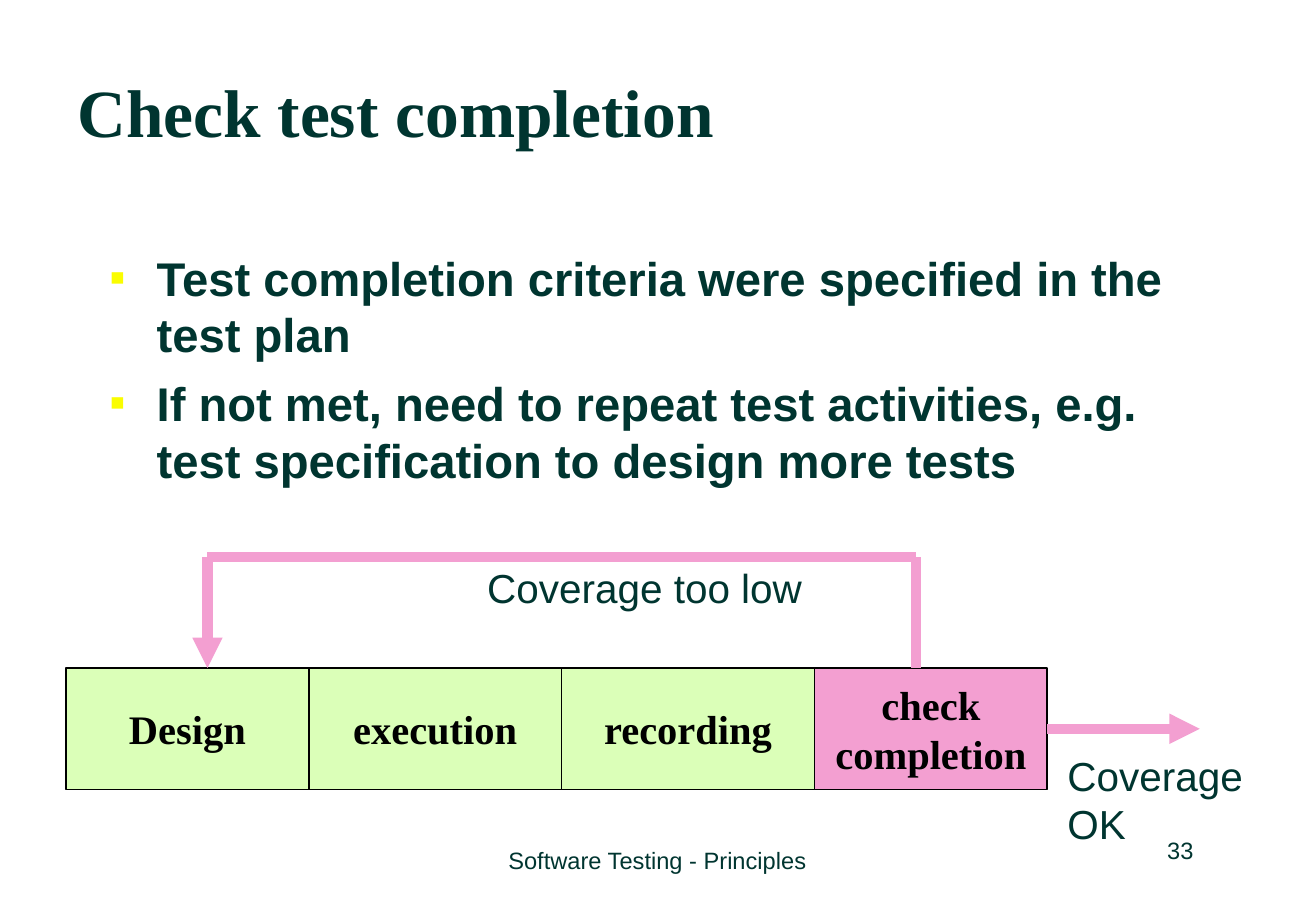
from lxml.etree import SubElement
from pptx import Presentation
from pptx.dml.color import RGBColor
from pptx.enum.shapes import MSO_CONNECTOR as Connector, MSO_SHAPE as Shape
from pptx.enum.text import MSO_ANCHOR as Anchor, PP_ALIGN as Align
from pptx.oxml.ns import qn
from pptx.util import Cm, Pt

COLOURS = {
    "ink": "003530",
    "black": "000000",
    "green": "DBFFB8",
    "pink": "F39FD1",
    "bullet": "FAFD00",
}
SANS = "Arial"
SERIF = "Times New Roman"
STEP_TOP, STEP_HEIGHT = 13.97, 2.54
STEPS_LEFT = 1.38
STEPS = [
    (["Design"], 5.08, "green"),
    (["execution"], 5.29, "green"),
    (["recording"], 5.29, "green"),
    (["check", "completion"], 4.87, "pink"),
]
LOOP_TOP, LOOP_START, LOOP_END = 11.64, 19.16, 4.34


def colour(name):
    return RGBColor.from_string(COLOURS[name])


def write_lines(frame, lines, size, font=SANS, ink="ink", bold=False, align=Align.LEFT):
    for index, line in enumerate(lines):
        para = frame.paragraphs[0] if index == 0 else frame.add_paragraph()
        para.alignment = align
        span = para.add_run()
        span.text = line
        span.font.name = font
        span.font.size = Pt(size)
        span.font.bold = bold
        span.font.color.rgb = colour(ink)


def add_text(page, place, lines, size, wrap=False, anchor=Anchor.TOP, **style):
    box = page.shapes.add_textbox(*map(Cm, place))
    frame = box.text_frame
    frame.word_wrap = wrap
    frame.vertical_anchor = anchor
    write_lines(frame, lines, size, **style)
    return frame


def add_bullet(para):
    """Give the paragraph a hanging square at half the text size."""
    properties = para._p.get_or_add_pPr()
    properties.set("marL", str(Cm(0.97)))
    properties.set("indent", str(Cm(-0.97)))
    tint = SubElement(properties, qn("a:buClr"))
    SubElement(tint, qn("a:srgbClr"), val=COLOURS["bullet"])
    SubElement(properties, qn("a:buSzPct"), val="50000")
    SubElement(properties, qn("a:buFont"), typeface=SANS)
    SubElement(properties, qn("a:buChar"), char="■")


def add_bullet_list(page, place, lines):
    frame = add_text(page, place, lines, 28, wrap=True, bold=True)
    for index, para in enumerate(frame.paragraphs):
        if index:
            para.space_before = Pt(7)
        add_bullet(para)


def add_step(page, left, width, lines, fill):
    box = page.shapes.add_shape(
        Shape.RECTANGLE, Cm(left), Cm(STEP_TOP), Cm(width), Cm(STEP_HEIGHT)
    )
    box.shadow.inherit = False
    box.fill.solid()
    box.fill.fore_color.rgb = colour(fill)
    box.line.color.rgb = colour("black")
    box.line.width = Pt(1)
    box.text_frame.word_wrap = False
    box.text_frame.vertical_anchor = Anchor.MIDDLE
    write_lines(box.text_frame, lines, 24, SERIF, "black", True, Align.CENTER)


def add_flow_line(page, start, end, arrow=False):
    line = page.shapes.add_connector(Connector.STRAIGHT, *map(Cm, start + end))
    line.line.color.rgb = colour("pink")
    line.line.width = Pt(6)
    if arrow:
        SubElement(line.line._get_or_add_ln(), qn("a:tailEnd"), type="triangle")
    SubElement(line._element.spPr, qn("a:effectLst"))


def add_process(page):
    left = STEPS_LEFT
    for lines, width, fill in STEPS:
        add_step(page, left, width, lines, fill)
        left += width

    corners = [
        (LOOP_START, STEP_TOP),
        (LOOP_START, LOOP_TOP),
        (LOOP_END, LOOP_TOP),
        (LOOP_END, STEP_TOP),
    ]
    for start, end in zip(corners, corners[1:]):
        add_flow_line(page, start, end, arrow=end == corners[-1])
    add_text(page, (9.94, 11.64, 7.5, 1.27), ["Coverage too low"], 24)

    middle = STEP_TOP + STEP_HEIGHT / 2
    add_flow_line(page, (left, middle), (25.1, middle), arrow=True)
    add_text(page, (22.08, 15.57, 5.2, 2.29), ["Coverage", "OK"], 24)


def main():
    deck = Presentation()
    deck.slide_width, deck.slide_height = Cm(27.53), Cm(19.05)
    page = deck.slides.add_slide(deck.slide_layouts[6])

    add_text(page, (9.4, 17.35, 8.71, 1.27), ["Software Testing - Principles"], 14,
             anchor=Anchor.MIDDLE, align=Align.CENTER)
    add_text(page, (19.48, 17.15, 5.74, 1.27), ["33"], 14,
             anchor=Anchor.MIDDLE, align=Align.RIGHT)
    add_text(page, (1.37, 1.47, 23.39, 1.7), ["Check test completion"], 40,
             wrap=True, anchor=Anchor.MIDDLE, font=SERIF, bold=True)
    add_bullet_list(page, (2.06, 5.08, 23.39, 11.86), [
        "Test completion criteria were specified in the test plan",
        "If not met, need to repeat test activities, e.g. "
        "test specification to design more tests",
    ])
    add_process(page)
    deck.save("out.pptx")


if __name__ == "__main__":
    main()
